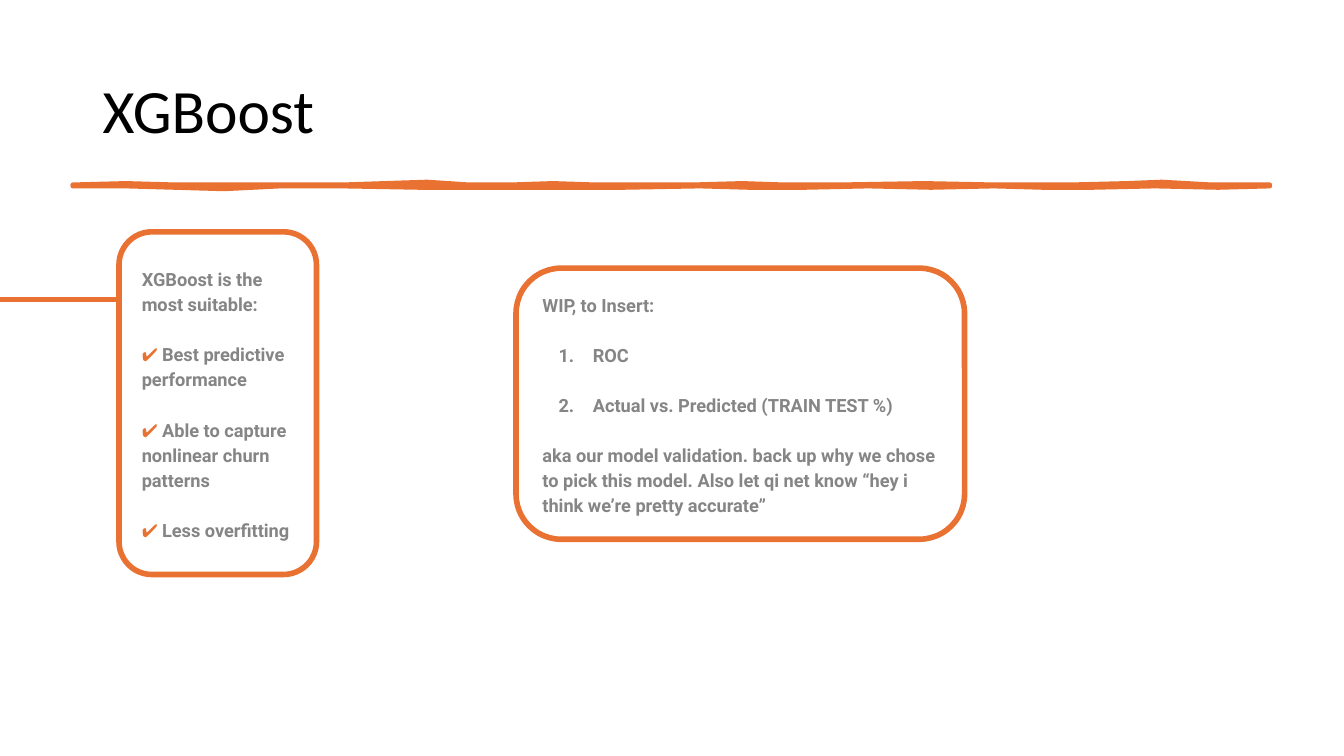
from lxml.etree import SubElement
from pptx import Presentation
from pptx.dml.color import RGBColor
from pptx.enum.shapes import MSO_CONNECTOR as Connector, MSO_SHAPE as Shape
from pptx.enum.text import MSO_ANCHOR as Anchor, PP_ALIGN as Align
from pptx.oxml.ns import qn
from pptx.util import Pt

ORANGE = RGBColor(0xE9, 0x71, 0x32)
GREY = RGBColor(0x85, 0x85, 0x85)
BLACK = RGBColor(0, 0, 0)

TITLE = "XGBoost"
CHECK = "✔"
# Each paragraph: (style, text)
REASONS = [
    ("plain", "XGBoost is the most suitable:"),
    ("check", "Best predictive performance"),
    ("check", "Able to capture nonlinear churn patterns"),
    ("check", "Less overfitting"),
]
TO_INSERT = [
    ("plain", "WIP, to Insert:"),
    ("number", "ROC"),
    ("number", "Actual vs. Predicted (TRAIN TEST %)"),
    ("plain", "aka our model validation. back up why we chose to pick this model. "
              "Also let qi net know “hey i think we’re pretty accurate”"),
]
# Left, top, width, height in points
CARDS = [
    ((85, 165.6, 141.1, 244.8), REASONS),
    ((368.6, 191.5, 320.4, 193.7), TO_INSERT),
]
# Edges of the hand-drawn rule, in points
RULE_TOP = [
    (52.5, 131.8), (90, 131.2), (125, 132), (160, 131.8), (200, 131.8),
    (245, 131.7), (275, 130.7), (305, 130.4), (335, 131.8), (365, 131.8),
    (395, 130.8), (425, 131.5), (495, 131.8), (530, 130.7), (560, 131.8),
    (600, 131.6), (660, 130.8), (710, 132), (765, 131.8), (805, 131),
    (830, 130.3), (865, 131.5), (907, 131.8),
]
RULE_BOTTOM = [
    (907, 133.2), (870, 133.8), (825, 132.8), (780, 134.5), (745, 133.6),
    (710, 133.4), (665, 133.8), (620, 133.2), (575, 133.6), (535, 134.4),
    (500, 133.4), (445, 133.6), (385, 134.4), (345, 133.8), (300, 134),
    (245, 133.2), (200, 133.4), (160, 134.6), (125, 134), (90, 133.2),
    (52.5, 133.2),
]
LINE_SPACING = 1.15
PARAGRAPH_GAP = Pt(17.9)


def format_font(font, **values):
    color = values.pop("color")
    for name, value in values.items():
        setattr(font, name, value)
    font.color.rgb = color


def number_paragraph(para):
    properties = para._p.get_or_add_pPr()
    properties.set("marL", str(Pt(36)))
    properties.set("indent", str(-Pt(24.5)))
    bullet_color = SubElement(properties, qn("a:buClr"))
    SubElement(bullet_color, qn("a:srgbClr"), val=str(GREY))
    SubElement(properties, qn("a:buFont"), typeface="Roboto")
    SubElement(properties, qn("a:buAutoNum"), type="arabicPeriod")


def add_span(para, text, color):
    span = para.add_run()
    span.text = text
    format_font(span.font, name="Roboto", size=Pt(13), bold=True, color=color)


def add_card(page, bounds, paragraphs):
    card = page.shapes.add_shape(Shape.ROUNDED_RECTANGLE, *map(Pt, bounds))
    card.adjustments[0] = 0.167
    card.shadow.inherit = False
    card.fill.background()
    card.line.color.rgb = ORANGE
    card.line.width = Pt(4)
    frame = card.text_frame
    frame.word_wrap = True
    frame.vertical_anchor = Anchor.MIDDLE
    for side in ("left", "top", "right", "bottom"):
        setattr(frame, f"margin_{side}", Pt(9.4))
    for index, (style, text) in enumerate(paragraphs):
        para = frame.add_paragraph() if index else frame.paragraphs[0]
        para.alignment = Align.LEFT
        para.line_spacing = LINE_SPACING
        if index:
            para.space_before = PARAGRAPH_GAP
        if style == "number":
            number_paragraph(para)
        if style == "check":
            add_span(para, CHECK, ORANGE)
            text = f" {text}"
        add_span(para, text, GREY)


def add_title(page):
    title = page.shapes.title
    bounds = dict(left=66.2, top=28.8, width=828, height=104.4)
    for name, value in bounds.items():
        setattr(title, name, Pt(value))
    frame = title.text_frame
    frame.text = TITLE
    frame.vertical_anchor = Anchor.MIDDLE
    para = frame.paragraphs[0]
    para.alignment = Align.LEFT
    para.line_spacing = 0.9
    format_font(para.runs[0].font, name="Calibri", size=Pt(44), color=BLACK)


def add_rule(page):
    start, *others = RULE_TOP + RULE_BOTTOM
    builder = page.shapes.build_freeform(*start, scale=Pt(1))
    builder.add_line_segments(others, close=True)
    rule = builder.convert_to_shape()
    rule.shadow.inherit = False
    rule.fill.solid()
    rule.fill.fore_color.rgb = ORANGE
    rule.line.color.rgb = ORANGE
    rule.line.width = Pt(3.25)


def add_lead_in(page):
    """Draw the line from the slide edge to the first card."""
    line = page.shapes.add_connector(
        Connector.STRAIGHT, Pt(0), Pt(214.2), Pt(86), Pt(214.2))
    line.line.color.rgb = ORANGE
    line.line.width = Pt(3.6)
    SubElement(line._element.spPr, qn("a:effectLst"))


def main():
    deck = Presentation()
    deck.slide_width, deck.slide_height = Pt(960), Pt(540)
    page = deck.slides.add_slide(deck.slide_layouts[5])
    add_title(page)
    add_rule(page)
    add_lead_in(page)
    for bounds, paragraphs in CARDS:
        add_card(page, bounds, paragraphs)
    deck.save("out.pptx")


if __name__ == "__main__":
    main()
